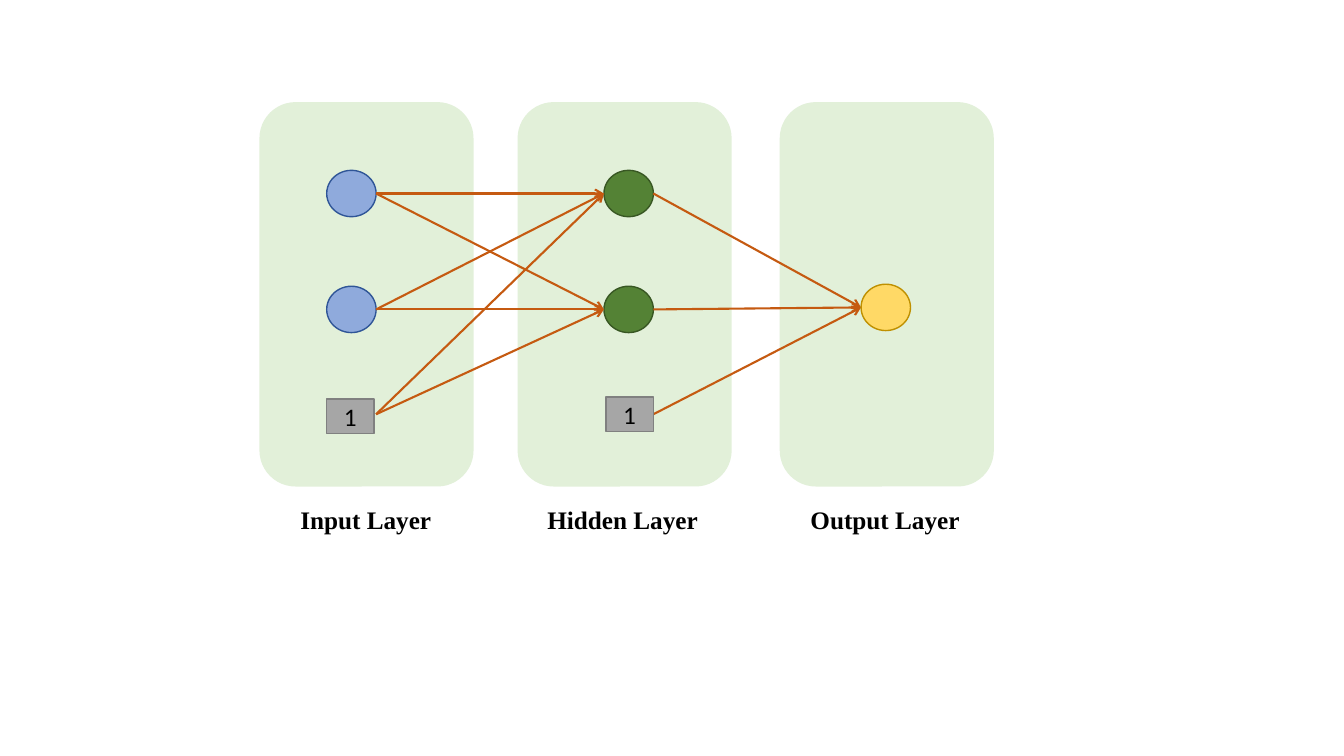
"""Draw a small neural network with an input, a hidden and an output layer."""
from dataclasses import dataclass

from lxml import etree
from pptx import Presentation
from pptx import util as u
from pptx.dml.color import RGBColor
from pptx.enum import shapes, text
from pptx.oxml.ns import qn


@dataclass(frozen=True)
class Theme:
    """Colours as fill and line pairs, fonts and sizes."""
    panel: tuple = ("E2F0D9", "E2F0D9")
    input: tuple = ("8FAADC", "2F5597")
    hidden: tuple = ("548235", "385723")
    output: tuple = ("FFD966", "BF9000")
    bias: tuple = ("A6A6A6", "808080")
    arrow: str = "C55A11"
    ink: str = "000000"
    label: str = "Times New Roman"
    body: str = "Calibri"
    size: int = 18
    edge: float = 1
    link: float = 1.5


class Board:
    """Draw elements on one slide in one theme."""

    def __init__(self, slide, theme):
        """Keep the slide and the theme."""
        self.slide = slide
        self.theme = theme

    def shape(self, kind, box, pair):
        """Add a filled and outlined preset shape."""
        item = self.slide.shapes.add_shape(kind, *map(u.Inches, box))
        item.shadow.inherit = False
        fill, line = pair
        item.fill.solid()
        item.fill.fore_color.rgb = RGBColor.from_string(fill)
        item.line.color.rgb = RGBColor.from_string(line)
        item.line.width = u.Pt(self.theme.edge)
        return item

    def run(self, para, words, face, bold=False):
        """Add one formatted run to a paragraph."""
        run = para.add_run()
        run.text = words
        run.font.name = face
        run.font.size = u.Pt(self.theme.size)
        run.font.bold = bold
        run.font.color.rgb = RGBColor.from_string(self.theme.ink)

    def panel(self, left):
        """Add the rounded panel behind a layer."""
        kind = shapes.MSO_SHAPE.ROUNDED_RECTANGLE
        self.shape(kind, (left, 1.02, 2.11, 3.8), self.theme.panel)

    def node(self, left, mid, pair):
        """Add a round node centred on a height."""
        box = (left, mid - NODE_H / 2, NODE_W, NODE_H)
        self.shape(shapes.MSO_SHAPE.OVAL, box, pair)

    def bias(self, left, top):
        """Add a bias box holding a one."""
        box = (left, top, 0.47, 0.34)
        item = self.shape(shapes.MSO_SHAPE.RECTANGLE, box, self.theme.bias)
        frame = item.text_frame
        frame.vertical_anchor = text.MSO_ANCHOR.MIDDLE
        para = frame.paragraphs[0]
        para.alignment = text.PP_ALIGN.CENTER
        self.run(para, "1", self.theme.body)

    def arrow(self, start, end):
        """Add an arrow between two points."""
        ends = map(u.Inches, (*start, *end))
        item = self.slide.shapes.add_connector(shapes.MSO_CONNECTOR.STRAIGHT, *ends)
        item.line.color.rgb = RGBColor.from_string(self.theme.arrow)
        item.line.width = u.Pt(self.theme.link)
        line = item.line._get_or_add_ln()
        etree.SubElement(line, qn("a:tailEnd"), type="arrow")
        etree.SubElement(item._element.spPr, qn("a:effectLst"))

    def label(self, words, left, width):
        """Add the bold name of a layer."""
        box = map(u.Inches, (left, 4.95, width, 0.4))
        frame = self.slide.shapes.add_textbox(*box).text_frame
        frame.word_wrap = False
        frame.auto_size = text.MSO_AUTO_SIZE.SHAPE_TO_FIT_TEXT
        self.run(frame.paragraphs[0], words, self.theme.label, True)


NODE_W, NODE_H = 0.49, 0.46
ROWS = (1.92, 3.07)
BIAS_Y = 4.11
IN_X, HID_X = 3.24, 5.99
OUT = (8.54, 3.05)
LAYERS = (
    ("Input Layer", 2.58, 2.88, 1.51),
    ("Hidden Layer", 5.14, 5.33, 1.71),
    ("Output Layer", 7.74, 7.94, 1.7),
)


def main():
    """Build and save the slide."""
    deck = Presentation()
    deck.slide_width = u.Inches(13.33)
    deck.slide_height = u.Inches(7.5)
    theme = Theme()
    board = Board(deck.slides.add_slide(deck.slide_layouts[6]), theme)

    for words, edge, left, width in LAYERS:
        board.panel(edge)
        board.label(words, left, width)

    for left, pair in ((IN_X, theme.input), (HID_X, theme.hidden)):
        for mid in ROWS:
            board.node(left, mid, pair)

    for start in (*ROWS, BIAS_Y):
        for end in ROWS:
            board.arrow((IN_X + NODE_W, start), (HID_X, end))
        board.arrow((HID_X + NODE_W, start), OUT)

    board.node(*OUT, theme.output)
    board.bias(IN_X, 3.96)
    board.bias(6.01, 3.94)
    deck.save("out.pptx")


if __name__ == "__main__":
    main()
